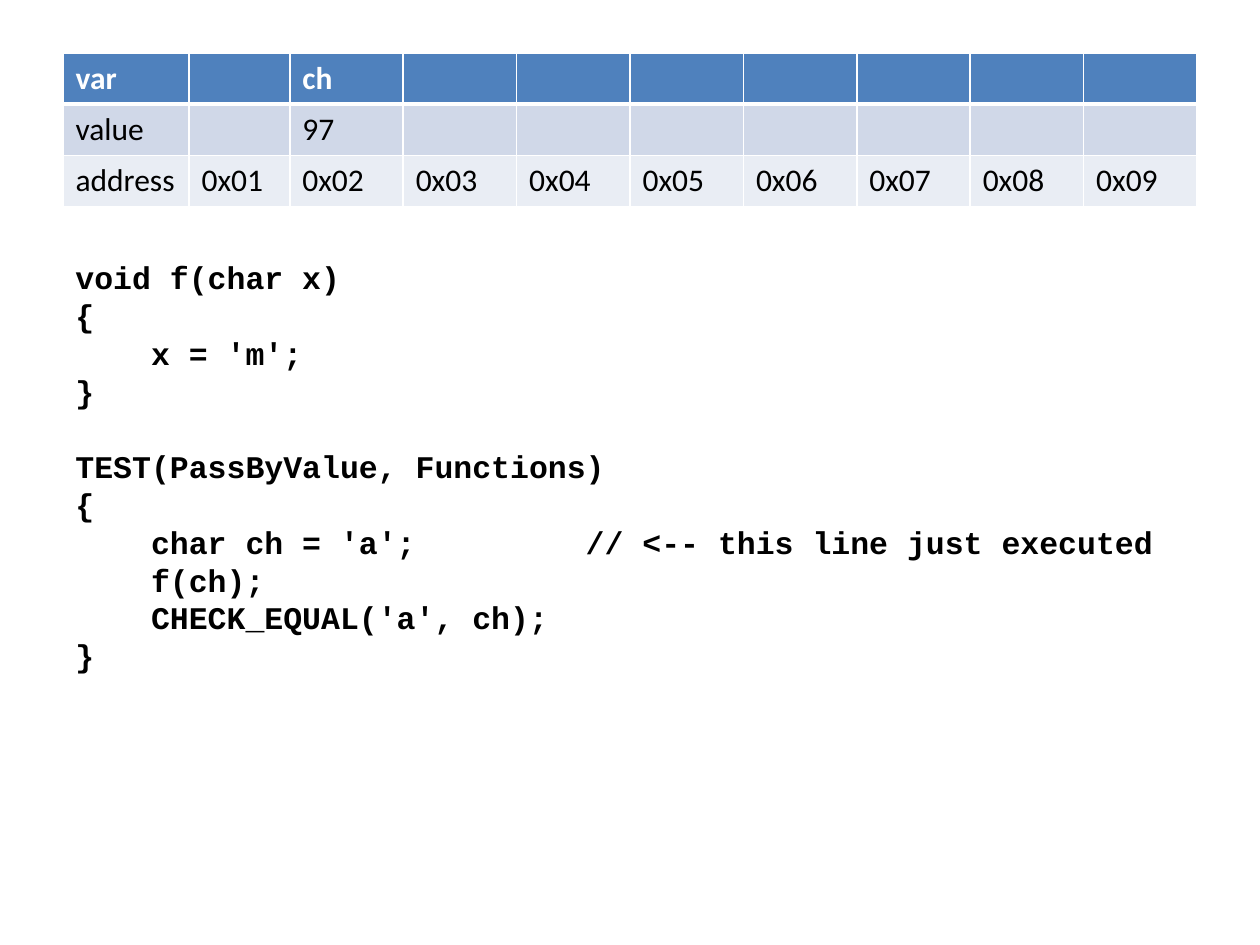
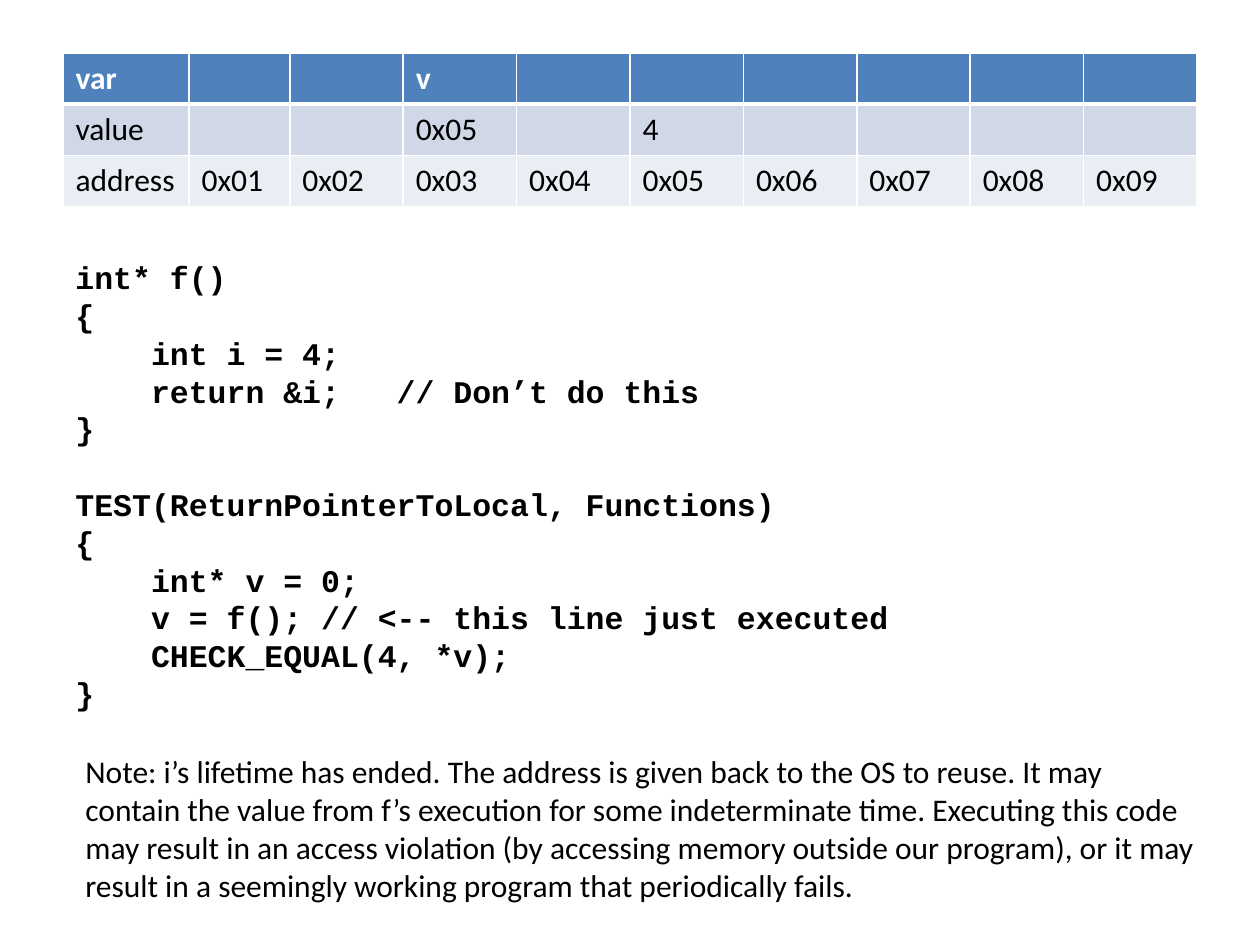
from lxml.etree import SubElement
from pptx import Presentation
from pptx.dml.color import RGBColor
from pptx.enum.text import MSO_AUTO_SIZE
from pptx.oxml.ns import qn
from pptx.util import Inches, Pt

HEAD, BAND, PALE = "4F81BD", "D0D8E8", "E9EDF4"
WHITE, BLACK = "FFFFFF", "000000"
BODY_FONT, CODE_FONT = "Calibri", "Courier New"
SIZE = 18
LINE = 21.6                 # height of one code line, points
CHAR = Inches(0.15)         # width of one code character
INDENT = 4                  # code indent, characters
COL_SHARES = [10, 8] + [9] * 8
ADDRESSES = [f"0x{n:02d}" for n in range(1, 10)]

prs = Presentation()
prs.slide_width, prs.slide_height = Inches(10), Inches(7.5)
UNIT = prs.slide_width / 100    # the slide is a grid of 100 columns by 75 rows


def box(left, top, width, height):
    """Turn grid columns and rows into slide lengths."""
    return [round(v * UNIT) for v in (left, top, width, height)]


MEMORY_BOX = box(5, 4.2, 90, 12.2)
NOTE_BOX = box(5.8, 59.2, 90.4, 13.1)


def rgb(color):
    """Turn a hex string into a colour."""
    return RGBColor.from_string(color)


def add_run(p, text, font=BODY_FONT, color=BLACK, bold=False):
    """Add one formatted run to a paragraph."""
    r = p.add_run()
    r.text = text
    r.font.name, r.font.size, r.font.bold = font, Pt(SIZE), bold
    r.font.color.rgb = rgb(color)


def set_borders(cell, **widths):
    """Draw white cell borders; widths are points for L, R, T and B."""
    tc_pr = cell._tc.get_or_add_tcPr()
    for side in "LRTB":
        ln = SubElement(tc_pr, qn(f"a:ln{side}"), w=str(Pt(widths.get(side, 1))))
        fill = SubElement(ln, qn("a:solidFill"))
        SubElement(fill, qn("a:srgbClr"), val=WHITE)


def add_memory(s, area, names, values):
    """Place the memory table; names and values are keyed by address."""
    rows = [
        ("var", names, HEAD, WHITE, {"B": 3}),
        ("value", values, BAND, BLACK, {"T": 3}),
        ("address", {a: a for a in ADDRESSES}, PALE, BLACK, {}),
    ]
    table = s.shapes.add_table(len(rows), len(COL_SHARES), *area).table
    table.horz_banding = False
    for col, share in zip(table.columns, COL_SHARES):
        col.width = round(area[2] * share / sum(COL_SHARES))
    for row, (label, entries, fill, color, borders) in zip(table.rows, rows):
        texts = [label] + [entries.get(a, "") for a in ADDRESSES]
        for cell, text in zip(row.cells, texts):
            set_borders(cell, **borders)
            cell.fill.solid()
            cell.fill.fore_color.rgb = rgb(fill)
            if text:
                add_run(cell.text_frame.paragraphs[0], text,
                        color=color, bold=fill == HEAD)


def add_text_frame(s, area):
    """Add a wrapping text box that grows with its text."""
    tf = s.shapes.add_textbox(*area).text_frame
    tf.word_wrap = True
    tf.auto_size = MSO_AUTO_SIZE.SHAPE_TO_FIT_TEXT
    return tf


def add_code(s, area, blocks, comment_col):
    """Place code blocks one line apart, with tab stops at indent and comment."""
    tf = add_text_frame(s, area)
    p = None
    for block in blocks:
        for i, line in enumerate(block):
            first = p is None
            p = tf.paragraphs[0] if first else tf.add_paragraph()
            if i == 0 and not first:
                p.space_before = Pt(LINE)
            if "\t" in line:
                tabs = SubElement(p._p.get_or_add_pPr(), qn("a:tabLst"))
                for col in (INDENT, comment_col):
                    SubElement(tabs, qn("a:tab"), pos=str(col * CHAR), algn="l")
            add_run(p, line, CODE_FONT, bold=True)


def add_note(s, area, text):
    """Place a plain paragraph."""
    add_run(add_text_frame(s, area).paragraphs[0], text)


def add_example(names, values, blocks, comment_col, code_rows, note=None):
    """Build one slide: memory table, code and an optional note."""
    s = prs.slides.add_slide(prs.slide_layouts[6])
    add_memory(s, MEMORY_BOX, names, values)
    add_code(s, box(5, 20, 92.5, code_rows), blocks, comment_col)
    if note:
        add_note(s, NOTE_BOX, note)


add_example(
    names={"0x02": "ch"},
    values={"0x02": "97"},
    blocks=[
        ["void f(char x)", "{", "\tx = 'm';", "}"],
        ["TEST(PassByValue, Functions)", "{",
         "\tchar ch = 'a';\t// <-- this line just executed",
         "\tf(ch);", "\tCHECK_EQUAL('a', ch);", "}"],
    ],
    comment_col=27,
    code_rows=34.3,
)
add_example(
    names={"0x03": "v"},
    values={"0x03": "0x05", "0x05": "4"},
    blocks=[
        ["int* f()", "{", "\tint i = 4;", "\treturn &i;\t// Don’t do this", "}"],
        ["TEST(ReturnPointerToLocal, Functions)", "{", "\tint* v = 0;",
         "\tv = f(); // <-- this line just executed",
         "\tCHECK_EQUAL(4, *v);", "}"],
    ],
    comment_col=17,
    code_rows=37.4,
    note="Note: i’s lifetime has ended. The address is given back to the OS to "
         "reuse. It may contain the value from f’s execution for some "
         "indeterminate time. Executing this code may result in an access "
         "violation (by accessing memory outside our program), or it may result "
         "in a seemingly working program that periodically fails.",
)
prs.save("out.pptx")
